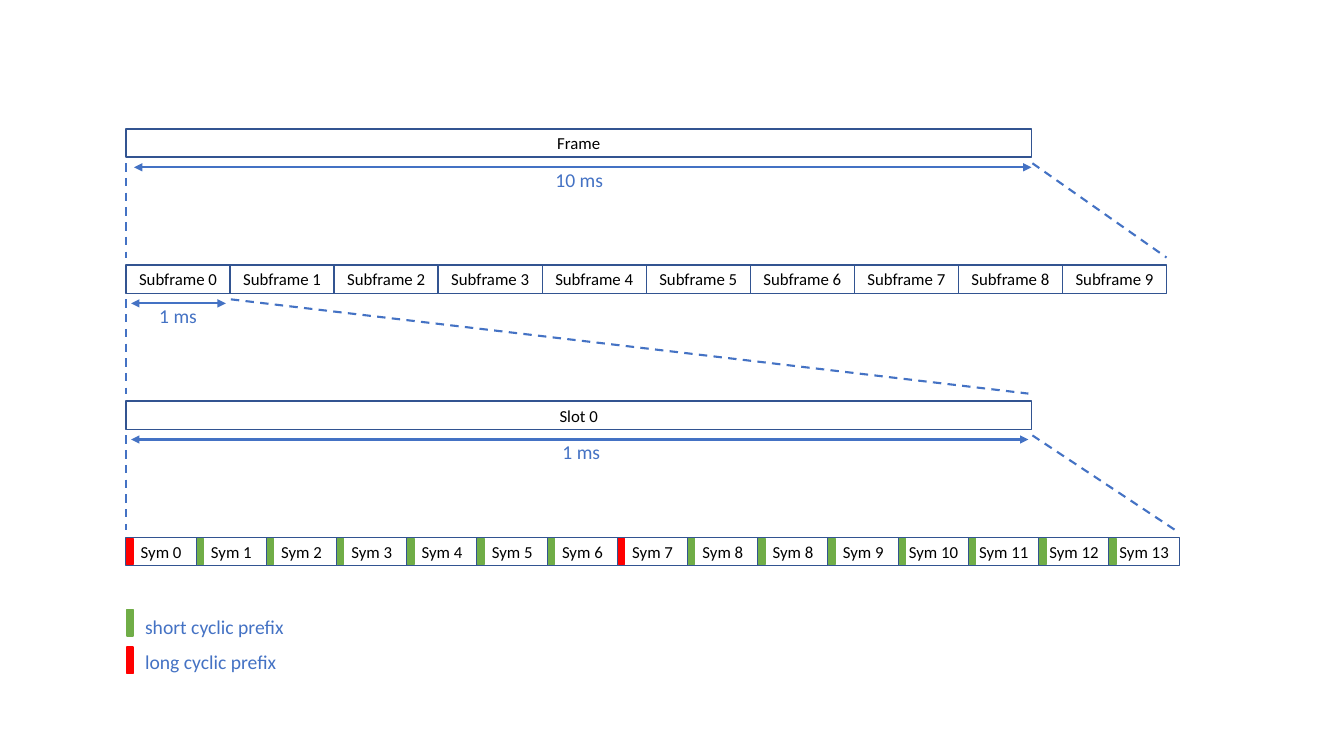
from dataclasses import dataclass

from lxml.etree import SubElement
from pptx import Presentation
from pptx.dml.color import RGBColor
from pptx.enum.dml import MSO_LINE
from pptx.enum.shapes import MSO_CONNECTOR, MSO_SHAPE
from pptx.enum.text import MSO_ANCHOR, MSO_AUTO_SIZE, PP_ALIGN
from pptx.oxml.ns import qn
from pptx.slide import Slide
from pptx.text.text import TextFrame
from pptx.util import Inches, Pt

COLORS = {
    "cell": "FFFFFF",
    "border": "325491",
    "ink": "000000",
    "accent": "4472C4",
    "short": "70AD47",
    "long": "FF0000",
}
CELL_FONT = {"name": "Calibri", "size": Pt(12)}
NOTE_FONT = {"name": "Calibri", "size": Pt(14)}

# Grid in inches: four levels share one left edge and one row pitch
LEFT, TOP, ROW_PITCH = 1.25, 1.28, 1.35
BAR_HEIGHT, BAR_WIDTH = 0.28, 8.98
SUBFRAME_WIDTH, SYMBOL_WIDTH = 1.032, 0.6964
PREFIX_WIDTH, PREFIX_HEIGHT, PREFIX_INSET = 0.06, 0.26, 0.01
NOTE_HEIGHT = 0.34
ZOOM_START, ZOOM_END, ARROW_DROP = 0.34, 1.275, 0.38


@dataclass(frozen=True)
class Level:
    labels: list[str]
    cell_width: float


@dataclass(frozen=True)
class Span:
    """Duration under a level, with the line that widens it to the next one."""
    text: str
    arrow: tuple[float, float]
    note_left: float
    note_width: float
    zoom: tuple[float, float]


@dataclass(frozen=True)
class Legend:
    text: str
    color: str
    mark_top: float
    note_top: float
    note_width: float


SYMBOLS = [*range(9), *range(8, 14)]
LONG_PREFIXES = (0, 7)

LEVELS = [
    Level(["Frame"], BAR_WIDTH),
    Level([f"Subframe {number}" for number in range(10)], SUBFRAME_WIDTH),
    Level(["Slot 0"], BAR_WIDTH),
    Level([f"Sym {number}" for number in SYMBOLS], SYMBOL_WIDTH),
]
SPANS = [
    Span("10 ms", (1.33, 10.23), 5.41, 0.68, (10.24, 11.57)),
    Span("1 ms", (1.3, 2.24), 1.48, 0.58, (2.29, 10.2)),
    Span("1 ms", (1.3, 10.2), 5.48, 0.58, (10.24, 11.65)),
]
LEGENDS = [
    Legend("short cyclic prefix", "short", 6.05, 6.05, 1.59),
    Legend("long cyclic prefix", "long", 6.42, 6.4, 1.52),
]


def color(name: str) -> RGBColor:
    return RGBColor.from_string(COLORS[name])


def write(frame: TextFrame, text: str, font: dict, ink: str, align: PP_ALIGN) -> None:
    para = frame.paragraphs[0]
    para.alignment = align
    run = para.add_run()
    run.text = text
    for key, value in font.items():
        setattr(run.font, key, value)
    run.font.color.rgb = color(ink)


def add_box(page: Slide, left: float, top: float, width: float, height: float,
            fill: str, border: str, text: str = "") -> None:
    box = page.shapes.add_shape(MSO_SHAPE.RECTANGLE, *map(Inches, (left, top, width, height)))
    box.shadow.inherit = False
    box.fill.solid()
    box.fill.fore_color.rgb = color(fill)
    box.line.color.rgb = color(border)
    box.line.width = Pt(1)
    if text:
        frame = box.text_frame
        frame.margin_left = frame.margin_right = Inches(0.05)
        frame.vertical_anchor = MSO_ANCHOR.MIDDLE
        write(frame, text, CELL_FONT, "ink", PP_ALIGN.CENTER)


def add_prefix(page: Slide, left: float, top: float, kind: str) -> None:
    add_box(page, left, top, PREFIX_WIDTH, PREFIX_HEIGHT, kind, kind)


def add_note(page: Slide, left: float, top: float, width: float, text: str) -> None:
    box = page.shapes.add_textbox(*map(Inches, (left, top, width, NOTE_HEIGHT)))
    box.text_frame.word_wrap = False
    box.text_frame.auto_size = MSO_AUTO_SIZE.SHAPE_TO_FIT_TEXT
    write(box.text_frame, text, NOTE_FONT, "accent", PP_ALIGN.LEFT)


def add_line(page: Slide, start: tuple[float, float], end: tuple[float, float],
             arrow: bool = False) -> None:
    line = page.shapes.add_connector(MSO_CONNECTOR.STRAIGHT, *map(Inches, (*start, *end)))
    line.line.color.rgb = color("accent")
    line.line.width = Pt(1.5)
    properties = line._element.spPr
    if arrow:
        outline = properties.find(qn("a:ln"))
        for tip in ("a:headEnd", "a:tailEnd"):
            SubElement(outline, qn(tip), type="triangle")
    else:
        line.line.dash_style = MSO_LINE.DASH
    SubElement(properties, qn("a:effectLst"))


def main() -> None:
    deck = Presentation()
    deck.slide_width, deck.slide_height = Inches(13.33), Inches(7.5)
    page = deck.slides.add_slide(deck.slide_layouts[6])
    row_tops = [TOP + row * ROW_PITCH for row in range(len(LEVELS))]

    # Bars of cells
    for level, top in zip(LEVELS, row_tops):
        for column, label in enumerate(level.labels):
            add_box(page, LEFT + column * level.cell_width, top, level.cell_width,
                    BAR_HEIGHT, "cell", "border", label)

    # Durations and zoom lines between the levels
    for span, top in zip(SPANS, row_tops):
        for first, last in ((LEFT, LEFT), span.zoom):
            add_line(page, (first, top + ZOOM_START), (last, top + ZOOM_END))
        first, last = span.arrow
        add_line(page, (first, top + ARROW_DROP), (last, top + ARROW_DROP), arrow=True)
        add_note(page, span.note_left, top + ZOOM_START, span.note_width, span.text)

    # Cyclic prefix at the start of each symbol
    for column in range(len(SYMBOLS)):
        kind = "long" if column in LONG_PREFIXES else "short"
        add_prefix(page, LEFT + PREFIX_INSET + column * SYMBOL_WIDTH,
                   row_tops[-1] + PREFIX_INSET, kind)

    # Legend
    for legend in LEGENDS:
        add_prefix(page, LEFT + PREFIX_INSET, legend.mark_top, legend.color)
        add_note(page, 1.34, legend.note_top, legend.note_width, legend.text)

    deck.save("out.pptx")


if __name__ == "__main__":
    main()
